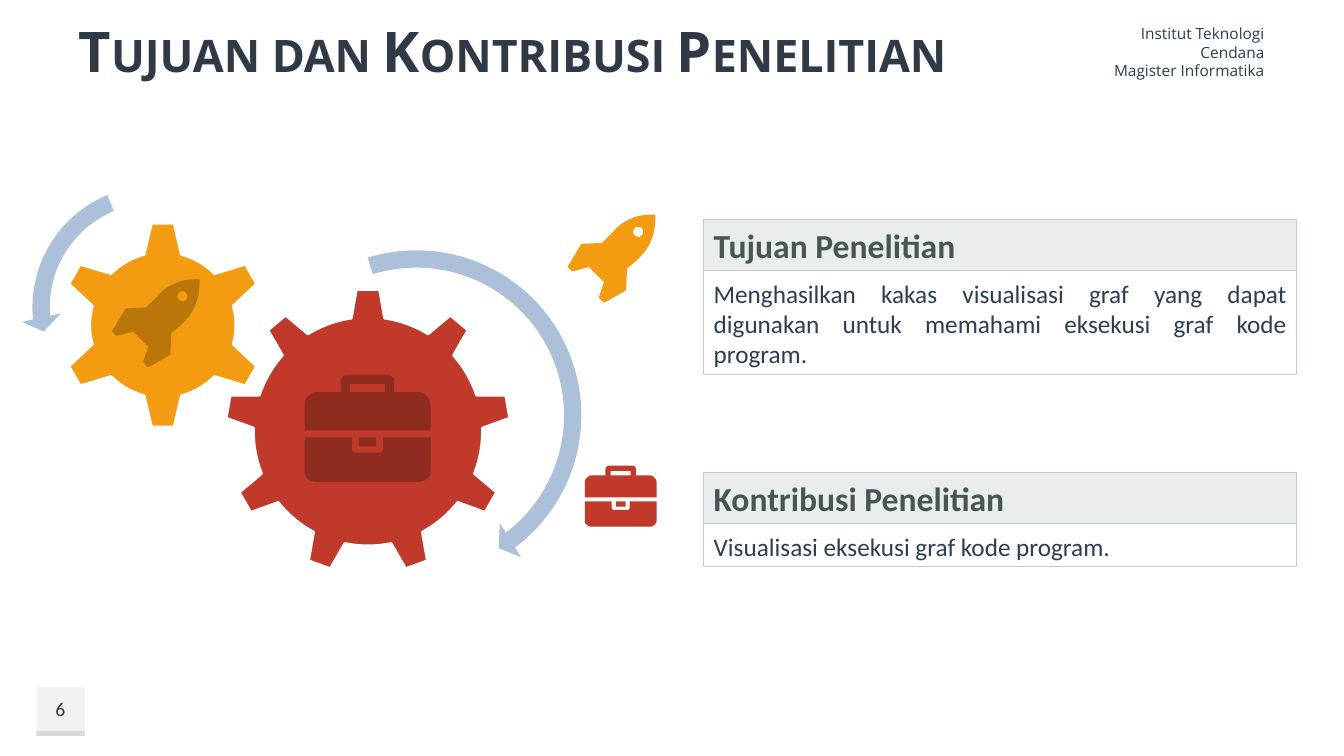
import math

from pptx import Presentation
from pptx.dml.color import RGBColor
from pptx.enum.shapes import MSO_SHAPE
from pptx.enum.text import MSO_ANCHOR, MSO_AUTO_SIZE, PP_ALIGN
from pptx.util import Inches, Pt

RECT = MSO_SHAPE.RECTANGLE
LEFT, CENTER, RIGHT, JUSTIFY = PP_ALIGN.LEFT, PP_ALIGN.CENTER, PP_ALIGN.RIGHT, PP_ALIGN.JUSTIFY
TOP, MIDDLE, BOTTOM = MSO_ANCHOR.TOP, MSO_ANCHOR.MIDDLE, MSO_ANCHOR.BOTTOM

COLORS = {
    "title": "2F3A46", "text": "2C3E50", "heading": "485556",
    "heading_fill": "EAEDED", "border": "BFC9CA", "white": "FFFFFF",
    "red": "C0392B", "dark_red": "902B20", "orange": "F39C12", "dark_orange": "BA7609",
    "arrow": "ADC0D9", "tab": "F2F2F2", "tab_edge": "D9D9D9",
}
HEAD_FONT, BODY_FONT = "Open Sans", "Calibri"

# Icon outlines in hundredths of an inch: pairs are corners,
# six numbers are a cubic curve (two control points and the end)
BRIEFCASE = [
    [(54, 62), (71, 62), (71, 71), (54, 71)],
    [(0, 62), (47, 62), (47, 73), (47, 74, 47, 75, 48, 76), (49, 77, 50, 77, 51, 77),
     (74, 77), (75, 77, 76, 77, 77, 76), (78, 75, 78, 74, 78, 73), (78, 62),
     (125, 62), (125, 95), (125, 98, 124, 101, 121, 103), (119, 105, 117, 106, 114, 106),
     (11, 106), (8, 106, 6, 105, 4, 103), (1, 101, 0, 98, 0, 95)],
    [(45, 9), (45, 17), (80, 17), (80, 9)],
    [(43, 0), (83, 0), (84, 0, 86, 0, 87, 2), (89, 3, 89, 5, 89, 6), (89, 17),
     (114, 17), (117, 17, 119, 19, 121, 21), (124, 23, 125, 26, 125, 29), (125, 55),
     (0, 55), (0, 29), (0, 26, 1, 23, 4, 21), (6, 19, 8, 17, 11, 17), (36, 17),
     (36, 6), (36, 5, 37, 3, 38, 2), (39, 0, 41, 0, 43, 0)],
]
PORTHOLE = [(70 - 5 * math.sin(math.radians(a)), 17 - 5 * math.cos(math.radians(a)))
            for a in range(0, 360, 15)]
ROCKET = [
    [(86, 0), (87, 0, 87, 1, 87, 2), (87, 11, 86, 18, 83, 25), (81, 31, 76, 38, 70, 44),
     (67, 47, 63, 50, 59, 53), (58, 74), (58, 75), (37, 87), (36, 87, 36, 87, 35, 87),
     (32, 83), (31, 83, 31, 82, 31, 82), (36, 67), (21, 52), (6, 56), (4, 56), (1, 53),
     (0, 52, 0, 51, 1, 50), (13, 30), (13, 30, 13, 29, 14, 29), (34, 28),
     (38, 24, 41, 21, 44, 18), (50, 11, 57, 6, 63, 4), (69, 1, 76, 0, 86, 0)],
    PORTHOLE,
]


def color(name):
    return RGBColor.from_string(COLORS[name])


def paint(shape, fill=None, line=None, width=0):
    shape.shadow.inherit = False
    if fill:
        shape.fill.solid()
        shape.fill.fore_color.rgb = color(fill)
    else:
        shape.fill.background()
    if line:
        shape.line.color.rgb = color(line)
        shape.line.width = Pt(width)
    else:
        shape.line.fill.background()


def add_preset(slide, preset, box, fill=None, line=None, width=0, adjustments=()):
    shape = slide.shapes.add_shape(preset, *map(Inches, box))
    paint(shape, fill, line, width)
    for i, value in enumerate(adjustments):
        shape.adjustments[i] = value
    return shape


def write(shape, text, size, font, ink, align, anchor, bold=False):
    frame = shape.text_frame
    frame.text = text
    frame.word_wrap = True
    frame.auto_size = MSO_AUTO_SIZE.NONE
    frame.vertical_anchor = anchor
    for paragraph in frame.paragraphs:
        paragraph.alignment = align
        for run in paragraph.runs:
            run.font.size = Pt(size)
            run.font.name = font
            run.font.bold = bold
            run.font.color.rgb = color(ink)


def flatten(outline, steps=6):
    """Turn corners and curves into a plain list of points."""
    points = []
    for part in outline:
        if len(part) == 2:
            points.append(part)
            continue
        x0, y0 = points[-1]
        x1, y1, x2, y2, x3, y3 = part
        for t in (k / steps for k in range(1, steps + 1)):
            a, b, c, d = (1 - t) ** 3, 3 * t * (1 - t) ** 2, 3 * t * t * (1 - t), t ** 3
            points.append((a * x0 + b * x1 + c * x2 + d * x3,
                           a * y0 + b * y1 + c * y2 + d * y3))
    return points


def add_icon(slide, outlines, left, top, fill, scale=1.0):
    builder = None
    for outline in outlines:
        points = [(Inches(left + x * scale / 100), Inches(top + y * scale / 100))
                  for x, y in flatten(outline)]
        if builder is None:
            builder = slide.shapes.build_freeform(*points[0])
        else:
            builder.move_to(*points[0])
        builder.add_line_segments(points[1:], close=True)
    paint(builder.convert_to_shape(), fill)


def add_card(slide, top, heading, body, body_height):
    left, width = 6.98, 5.88
    detail = add_preset(slide, RECT, (left, top + 0.48, width, body_height),
                        line="border", width=0.75)
    write(detail, body, 18, BODY_FONT, "text", JUSTIFY, TOP)
    detail.text_frame.margin_top = Inches(0.1)
    header = add_preset(slide, RECT, (left, top, width, 0.5), "heading_fill", "border", 0.75)
    write(header, heading, 24, BODY_FONT, "heading", JUSTIFY, BOTTOM, bold=True)


def add_title(slide, text):
    title = slide.shapes.title
    title.left, title.top, title.width, title.height = map(Inches, (0.68, 0.16, 10.5, 0.68))
    write(title, text, 40, HEAD_FONT, "title", LEFT, MIDDLE, bold=True)
    for run in title.text_frame.paragraphs[0].runs:
        run.font._element.set("cap", "small")


def add_page_number(slide, number):
    add_preset(slide, RECT, (0.36, 6.82, 0.48, 0.48), "tab")
    add_preset(slide, RECT, (0.36, 7.25, 0.48, 0.05), "tab_edge")
    label = slide.shapes.add_textbox(*map(Inches, (0.36, 6.82, 0.48, 0.43)))
    write(label, number, 14, BODY_FONT, "title", CENTER, MIDDLE)


def add_gears(slide):
    add_preset(slide, MSO_SHAPE.GEAR_9, (2.23, 2.86, 2.84, 2.84), "red", "white", 2)
    add_preset(slide, MSO_SHAPE.GEAR_6, (0.58, 2.19, 2.07, 2.07), "orange", "white", 2)
    add_preset(slide, MSO_SHAPE.CIRCULAR_ARROW, (2.38, 2.37, 3.5, 3.5), "arrow",
               adjustments=(0.049, 3.126, 31.811, 151.699, 0.057))
    add_preset(slide, MSO_SHAPE.LEFT_CIRCULAR_ARROW, (0.21, 1.73, 2.64, 2.64), "arrow",
               adjustments=(0.065, 4.3, 104.891, 148.378, 0.075))


def main():
    prs = Presentation()
    prs.slide_width, prs.slide_height = Inches(13.33), Inches(7.5)
    slide = prs.slides.add_slide(prs.slide_layouts[5])

    # Title, institution and page number
    add_title(slide, "Tujuan dan Kontribusi Penelitian")
    institution = slide.shapes.add_textbox(*map(Inches, (10.92, 0.28, 1.72, 0.47)))
    write(institution, "Institut Teknologi Cendana\nMagister Informatika",
          11, HEAD_FONT, "text", RIGHT, MIDDLE)
    add_page_number(slide, "6")

    # Gears with their icons, and the same icons beside the cards
    add_gears(slide)
    add_icon(slide, BRIEFCASE, 3.02, 3.72, "dark_red")
    add_icon(slide, BRIEFCASE, 5.8, 4.62, "red", scale=0.57)
    add_icon(slide, ROCKET, 1.11, 2.77, "dark_orange")
    add_icon(slide, ROCKET, 5.63, 2.13, "orange")

    # Aim and contribution
    add_card(slide, 2.18, "Tujuan Penelitian",
             "Menghasilkan kakas visualisasi graf yang dapat digunakan untuk "
             "memahami eksekusi graf kode program.", 1.06)
    add_card(slide, 4.69, "Kontribusi Penelitian",
             "Visualisasi eksekusi graf kode program.", 0.45)

    prs.save("out.pptx")


if __name__ == "__main__":
    main()
